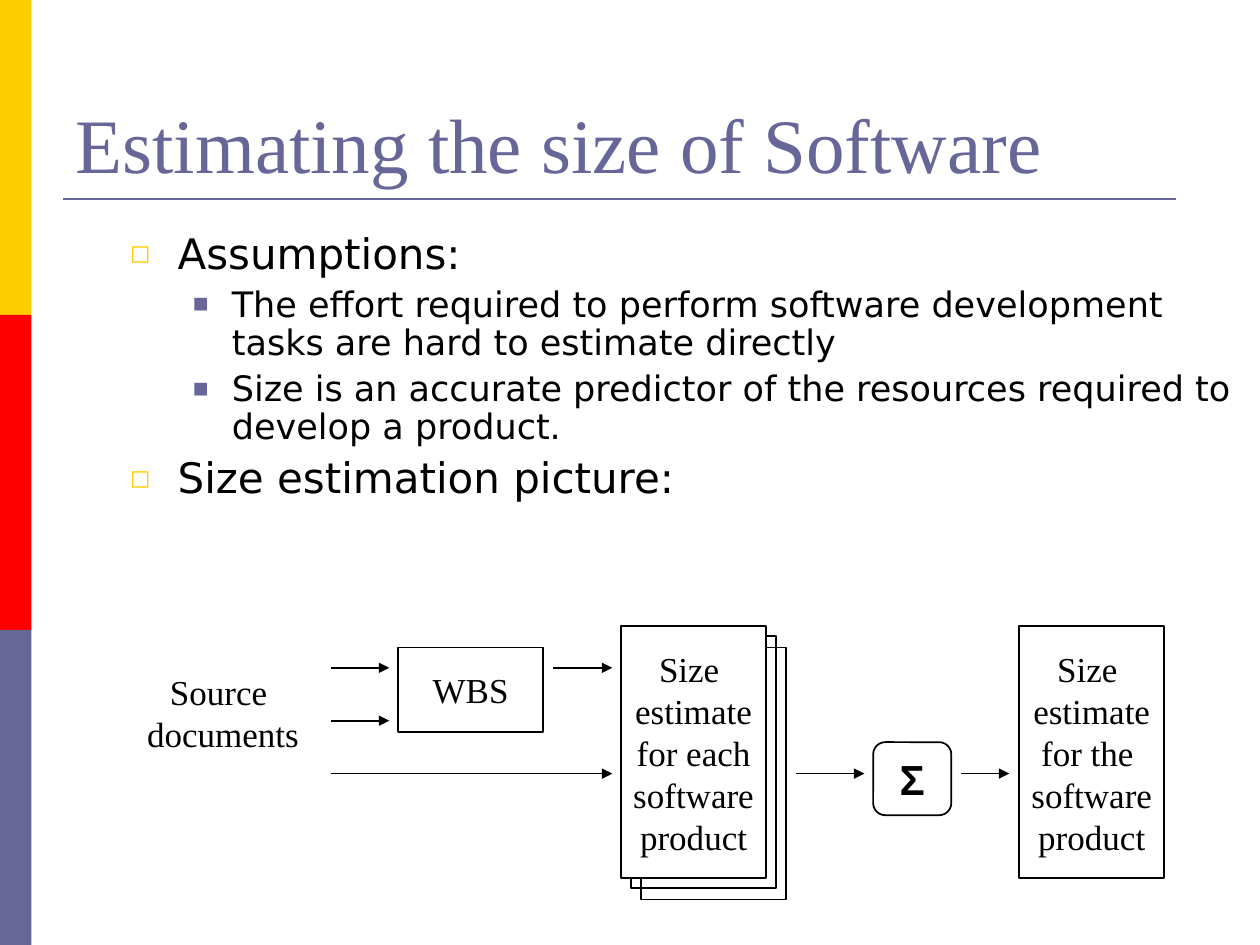
"""Build the slide on estimating the size of software."""
from dataclasses import dataclass

from lxml import etree
from pptx import Presentation
from pptx import util as u
from pptx.dml.color import RGBColor
from pptx.enum import shapes, text
from pptx.oxml import ns

YELLOW, RED, VIOLET, BLACK, WHITE = "FFCC00", "FF0000", "666699", "000000", "FFFFFF"
SERIF, SANS, SYMBOL = "Times New Roman", "DejaVu Sans", "Arial"
BOX_WIDTH, SHEET_HEIGHT, SHEET_TOP = 1.15, 2, 4.97
UPPER_FLOW, MIDDLE_FLOW, LOWER_FLOW = 5.3, 5.72, 6.14


@dataclass(frozen=True)
class Level:
    """Look of one outline level."""
    bullet: str
    bullet_font: str
    bullet_percent: int
    color: str
    size: int
    margin: float
    hanging: float
    before: int


@dataclass(frozen=True)
class Box:
    """One outlined box of the diagram."""
    left: float
    top: float
    width: float = BOX_WIDTH
    height: float = SHEET_HEIGHT
    lines: tuple[str, ...] = ()
    fill: str | None = None
    kind: shapes.MSO_SHAPE = shapes.MSO_SHAPE.RECTANGLE
    font: str = SERIF
    size: int = 20
    bold: bool = False


@dataclass(frozen=True)
class Flow:
    """One horizontal arrow of the diagram."""
    start: float
    end: float
    y: float


LEVELS = (
    Level("◻", SANS, 60, YELLOW, 24, 0.38, 0.38, 6),
    Level("■", SYMBOL, 75, VIOLET, 20, 0.81, 0.31, 5),
)
OUTLINE = (
    (0, "Assumptions:"),
    (1, "The effort required to perform software development tasks are hard to estimate directly"),
    (1, "Size is an accurate predictor of the resources required to develop a product."),
    (0, "Size estimation picture:"),
)
BOXES = (
    Box(5.01, 5.05),
    Box(5.09, 5.14),
    Box(4.93, SHEET_TOP, fill=WHITE,
        lines=("Size ", "estimate", "for each", "software", "product")),
    Box(3.16, 5.14, height=0.67, lines=("WBS",)),
    Box(6.93, 5.89, 0.62, 0.58, ("Σ",), WHITE,
        shapes.MSO_SHAPE.ROUNDED_RECTANGLE, SYMBOL, 24, True),
    Box(8.09, SHEET_TOP, fill=WHITE,
        lines=("Size ", "estimate", "for the ", "software", "product")),
)
FLOWS = (
    Flow(2.63, 3.09, UPPER_FLOW),
    Flow(2.63, 3.09, MIDDLE_FLOW),
    Flow(2.63, 4.86, LOWER_FLOW),
    Flow(4.39, 4.86, UPPER_FLOW),
    Flow(6.32, 6.86, LOWER_FLOW),
    Flow(7.63, 8.01, LOWER_FLOW),
)


def set_all(target, **values) -> None:
    """Set each named attribute of the target."""
    for name, value in values.items():
        setattr(target, name, value)


def paint(color_format, color: str) -> None:
    """Apply a hex colour to a colour format."""
    color_format.rgb = RGBColor.from_string(color)


def fill_with(shape, color: str | None) -> None:
    """Fill a shape with a colour, or leave it hollow."""
    if color is None:
        shape.fill.background()
    else:
        shape.fill.solid()
        paint(shape.fill.fore_color, color)


def place(shape, left: float, top: float, width: float, height: float) -> None:
    """Move and size a shape in inches."""
    set_all(shape, left=u.Inches(left), top=u.Inches(top),
            width=u.Inches(width), height=u.Inches(height))


def write(paragraph, words: str, font: str, size: int, color: str = BLACK,
          bold: bool = False) -> None:
    """Add one formatted run to a paragraph."""
    run = paragraph.add_run()
    run.text = words
    set_all(run.font, name=font, size=u.Pt(size), bold=bold)
    paint(run.font.color, color)


def write_centred(frame, lines: tuple[str, ...], font: str, size: int,
                  bold: bool = False) -> None:
    """Write centred lines, one paragraph each."""
    frame.word_wrap = False
    for index, words in enumerate(lines):
        paragraph = frame.add_paragraph() if index else frame.paragraphs[0]
        paragraph.alignment = text.PP_ALIGN.CENTER
        write(paragraph, words, font, size, bold=bold)


def add_bullet(paragraph, level: Level) -> None:
    """Give a paragraph its bullet and hanging indent."""
    properties = paragraph._p.get_or_add_pPr()
    properties.set("marL", str(u.Inches(level.margin)))
    properties.set("indent", str(-u.Inches(level.hanging)))
    color = etree.SubElement(properties, ns.qn("a:buClr"))
    etree.SubElement(color, ns.qn("a:srgbClr"), val=level.color)
    etree.SubElement(properties, ns.qn("a:buSzPct"), val=str(level.bullet_percent * 1000))
    etree.SubElement(properties, ns.qn("a:buFont"), typeface=level.bullet_font)
    etree.SubElement(properties, ns.qn("a:buChar"), char=level.bullet)


def add_band(slide, index: int, color: str) -> None:
    """Draw one third of the side stripe."""
    band = slide.shapes.add_shape(shapes.MSO_SHAPE.RECTANGLE, 0, u.Inches(2.5 * index),
                                  u.Inches(0.25), u.Inches(2.5))
    band.shadow.inherit = False
    fill_with(band, color)
    band.line.fill.background()


def add_line(slide, flow: Flow, color: str, width: float, arrow: bool) -> None:
    """Draw a horizontal line, with an arrowhead if asked."""
    line = slide.shapes.add_connector(shapes.MSO_CONNECTOR.STRAIGHT, u.Inches(flow.start),
                                      u.Inches(flow.y), u.Inches(flow.end), u.Inches(flow.y))
    paint(line.line.color, color)
    line.line.width = u.Pt(width)
    if arrow:
        etree.SubElement(line.line._get_or_add_ln(), ns.qn("a:tailEnd"), type="triangle")
    etree.SubElement(line._element.spPr, ns.qn("a:effectLst"))


def add_box(slide, box: Box) -> None:
    """Draw one box with its label."""
    shape = slide.shapes.add_shape(box.kind, *map(
        u.Inches, (box.left, box.top, box.width, box.height)))
    shape.shadow.inherit = False
    fill_with(shape, box.fill)
    paint(shape.line.color, BLACK)
    shape.line.width = u.Pt(1)
    shape.text_frame.vertical_anchor = text.MSO_ANCHOR.MIDDLE
    write_centred(shape.text_frame, box.lines, box.font, box.size, box.bold)


def fill_title(title) -> None:
    """Place and write the title."""
    place(title, 0.5, 0.3, 9, 1.25)
    set_all(title.text_frame, vertical_anchor=text.MSO_ANCHOR.BOTTOM,
            auto_size=text.MSO_AUTO_SIZE.NONE)
    heading = title.text_frame.paragraphs[0]
    heading.alignment = text.PP_ALIGN.LEFT
    write(heading, "Estimating the size of Software", SERIF, 44, VIOLET)


def fill_outline(body) -> None:
    """Place and write the bulleted outline."""
    place(body, 0.93, 1.8, 9.08, 2.25)
    frame = body.text_frame
    frame.auto_size = text.MSO_AUTO_SIZE.NONE
    for index, (depth, words) in enumerate(OUTLINE):
        level = LEVELS[depth]
        paragraph = frame.add_paragraph() if index else frame.paragraphs[0]
        add_bullet(paragraph, level)
        set_all(paragraph, level=depth, line_spacing=0.9,
                space_before=u.Pt(level.before if index else 0))
        write(paragraph, words, SANS, level.size)


def main() -> None:
    """Build and save the slide."""
    deck = Presentation()
    set_all(deck, slide_width=u.Inches(10), slide_height=u.Inches(7.5))
    slide = deck.slides.add_slide(deck.slide_layouts[1])
    fill_title(slide.shapes.title)
    fill_outline(slide.placeholders[1])
    for index, color in enumerate((YELLOW, RED, VIOLET)):
        add_band(slide, index, color)
    add_line(slide, Flow(0.5, 9.33, 1.58), VIOLET, 1.5, False)
    for box in BOXES:
        add_box(slide, box)
    source = slide.shapes.add_textbox(*map(u.Inches, (1.02, 5.27, 1.5, 0.77)))
    source.text_frame.auto_size = text.MSO_AUTO_SIZE.SHAPE_TO_FIT_TEXT
    write_centred(source.text_frame, ("Source ", "documents"), SERIF, 20)
    for flow in FLOWS:
        add_line(slide, flow, BLACK, 1, True)
    deck.save("out.pptx")


if __name__ == "__main__":
    main()
